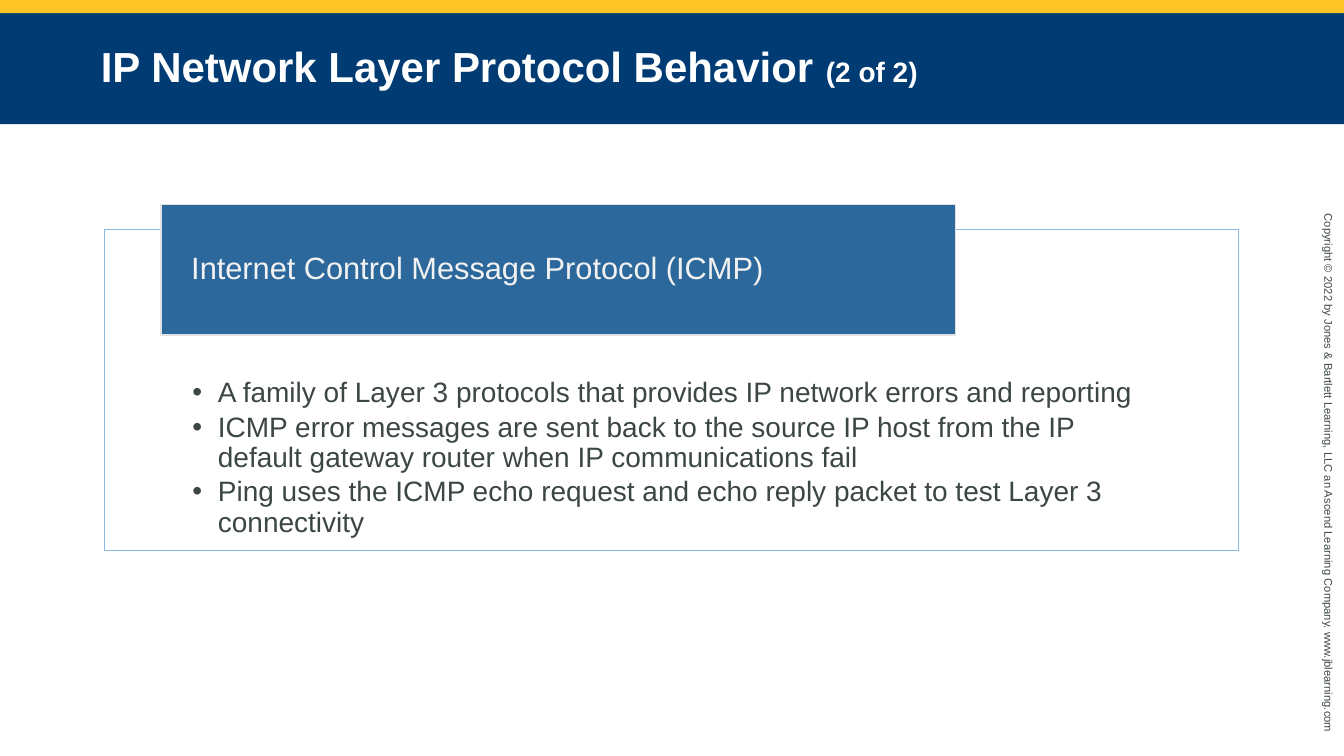
from lxml import etree
from pptx import Presentation
from pptx.dml.color import RGBColor
from pptx.enum import shapes, text
from pptx.oxml import ns
from pptx.util import Cm, Pt

HUES = {"gold": "FFC425", "navy": "003B74", "frame": "8DB9DF", "blue": "2C689B",
        "edge": "E1E1E1", "white": "FFFFFF", "pale": "F2F2F2", "ink": "3C4743"}


def style(item, box, fill=None, line=None):
    item.left, item.top, item.width, item.height = [Cm(n) for n in box]
    if fill:
        item.fill.solid()
        item.fill.fore_color.rgb = RGBColor.from_string(HUES[fill])
    if line:
        item.line.color.rgb = RGBColor.from_string(HUES[line])
        item.line.width = Pt(1)


def write(item, lines, hue, pads, anchor, gap=0, lead=1.0, bold=False):
    frame = item.text_frame
    sides = zip(("left", "top", "right", "bottom"), pads)
    form = {f"margin_{side}": Cm(pad) for side, pad in sides}
    form |= {"word_wrap": True, "auto_size": text.MSO_AUTO_SIZE.NONE,
             "vertical_anchor": anchor}
    for key, value in form.items():
        setattr(frame, key, value)
    for i, line in enumerate(lines):
        para = frame.add_paragraph() if i else frame.paragraphs[0]
        form = {"alignment": text.PP_ALIGN.LEFT, "line_spacing": lead,
                "space_before": Pt(0), "space_after": Pt(gap)}
        for key, value in form.items():
            setattr(para, key, value)
        for words, size in line:
            run = para.add_run()
            run.text = words
            form = {"name": "Arial", "size": Pt(size), "bold": bold}
            for key, value in form.items():
                setattr(run.font, key, value)
            run.font.color.rgb = RGBColor.from_string(HUES[hue])


deck = Presentation()
deck.slide_width, deck.slide_height = Cm(33.87), Cm(19.05)
slide = deck.slides.add_slide(deck.slide_layouts[1])
title, body = slide.placeholders
top, mid = text.MSO_ANCHOR.TOP, text.MSO_ANCHOR.MIDDLE

style(title, (0, 0.33, 33.87, 2.8), "navy")
write(title, [[("IP Network Layer Protocol Behavior ", 30), ("(2 of 2)", 20)]],
      "white", (2.54, 0.13, 2.54, 0.13), mid, lead=0.95, bold=True)

points = [
    "A family of Layer 3 protocols that provides IP network errors and reporting",
    "ICMP error messages are sent back to the source IP host from the IP "
    "default gateway router when IP communications fail",
    "Ping uses the ICMP echo request and echo reply packet to test Layer 3 connectivity",
]
style(body, (2.64, 5.78, 28.58, 8.1), line="frame")
write(body, [[(point, 20)] for point in points], "ink",
      (2.21, 3.76, 2.21, 0.4), top, gap=3, lead=0.9)
for para in body.text_frame.paragraphs:
    para.level = 1
    props = para._p.get_or_add_pPr()
    props.set("marL", str(Cm(0.64)))
    props.set("indent", str(-Cm(0.64)))
    etree.SubElement(props, ns.qn("a:buFont")).set("typeface", "Arial")
    etree.SubElement(props, ns.qn("a:buChar")).set("char", "•")

band, label = [slide.shapes.add_shape(shapes.MSO_SHAPE.RECTANGLE, 0, 0, 0, 0)
               for _ in range(2)]
style(band, (0, 0, 33.87, 0.33), "gold")
band.line.fill.background()
style(label, (4.06, 5.16, 20.02, 3.28), "blue", "edge")
for item in (band, label):
    item.shadow.inherit = False
write(label, [[("Internet Control Message Protocol (ICMP)", 22)]], "pale",
      (0.76, 0, 0.76, 0), mid, lead=0.9)

notice = slide.shapes.add_textbox(0, 0, 0, 0)
style(notice, (26.52, 11.79, 13.92, 0.61))
notice.rotation = 90
write(notice, [[("Copyright © 2022 by Jones & Bartlett Learning, LLC an Ascend "
                 "Learning Company. www.jblearning.com", 8)]],
      "ink", (0.25, 0.13, 0.25, 0.13), top)

deck.save("out.pptx")
